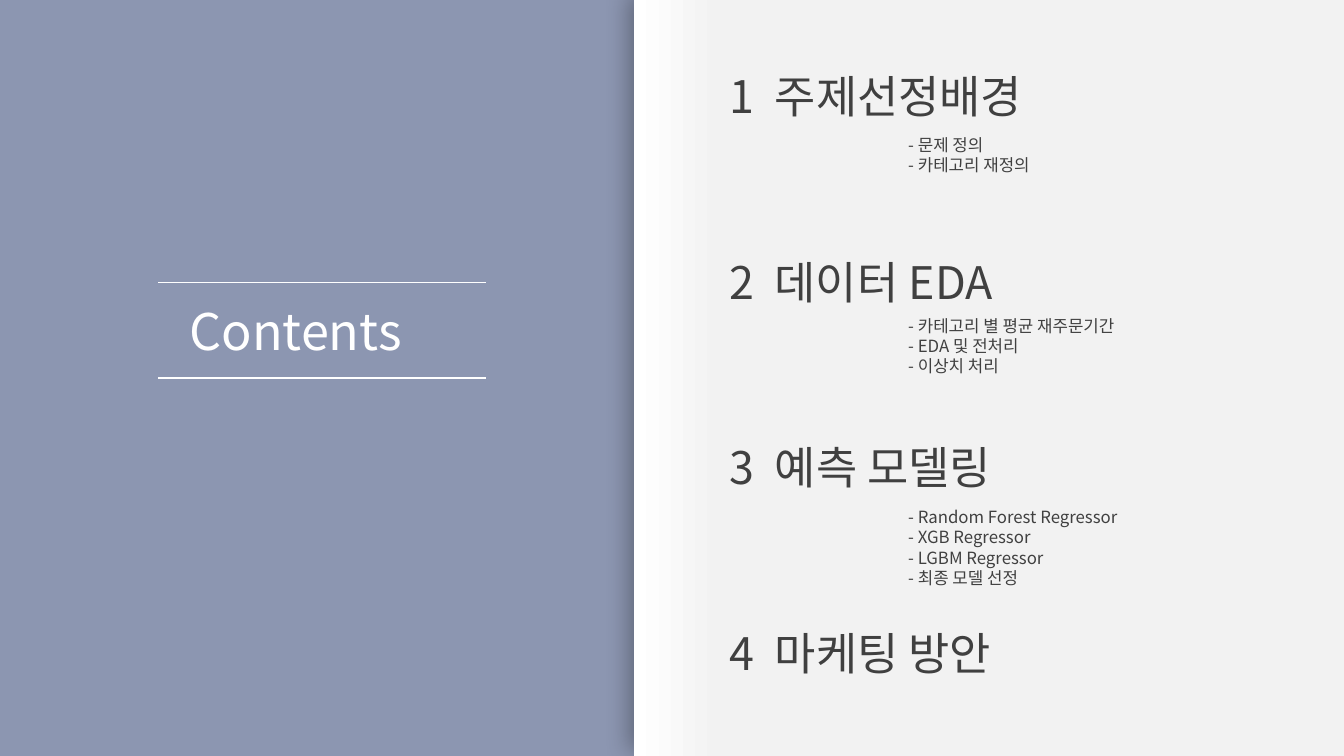
from lxml.etree import SubElement
from pptx import Presentation
from pptx.dml.color import RGBColor
from pptx.enum.shapes import MSO_CONNECTOR as Connector, MSO_SHAPE as Shape
from pptx.enum.text import MSO_AUTO_SIZE as AutoSize, PP_ALIGN as Align
from pptx.oxml.ns import qn
from pptx.util import Inches, Pt

COLORS = {
    "background": "8C96B1",
    "white": "FFFFFF",
    "panel": "F2F2F2",
    "ink": "404040",
    "shadow": "000000",
}
FONT = "Noto Sans CJK KR"

CHAPTERS = [
    ("1  주제선정배경", 33.16, 17.2, ["- 문제 정의", "- 카테고리 재정의"]),
    ("2  데이터 EDA", 26.48, 41.07,
     ["- 카테고리 별 평균 재주문기간", "- EDA 및 전처리", "- 이상치 처리"]),
    ("3  예측 모델링", 32.48, 66.4,
     ["- Random Forest Regressor", "- XGB Regressor", "- LGBM Regressor",
      "- 최종 모델 선정"]),
    ("4  마케팅 방안", 32.48, None, []),
]


class ContentsSlide:
    def __init__(self, deck):
        self.deck = deck
        self.slide = deck.slides.add_slide(deck.slide_layouts[6])
        backdrop = self.slide.background.fill
        backdrop.solid()
        backdrop.fore_color.rgb = self.color("background")

    def color(self, name):
        return RGBColor.from_string(COLORS[name])

    def x(self, percent):
        return round(self.deck.slide_width * percent / 100)

    def y(self, percent):
        return round(self.deck.slide_height * percent / 100)

    def panel(self, left, top, width, height):
        panel = self.slide.shapes.add_shape(
            Shape.RECTANGLE, self.x(left), self.y(top), self.x(width), self.y(height))
        panel.line.fill.background()
        panel.fill.gradient()
        panel.fill.gradient_angle = 0
        fade = [("white", 0), ("panel", 0.12)]
        for stop, (name, position) in zip(panel.fill.gradient_stops, fade):
            stop.color.rgb = self.color(name)
            stop.position = position
        panel.shadow.inherit = False
        effects = panel.element.spPr.find(qn("a:effectLst"))
        shadow = SubElement(
            effects, qn("a:outerShdw"), blurRad=str(Pt(17)), dist=str(Pt(5)),
            dir=str(225 * 60000), algn="br", rotWithShape="0")
        tint = SubElement(shadow, qn("a:srgbClr"), val=COLORS["shadow"])
        SubElement(tint, qn("a:alpha"), val="31000")

    def rule(self, left, right, top):
        rule = self.slide.shapes.add_connector(
            Connector.STRAIGHT, self.x(left), self.y(top), self.x(right), self.y(top))
        rule.line.color.rgb = self.color("white")
        rule.line.width = Pt(1)
        SubElement(rule.element.spPr, qn("a:effectLst"))

    def text(self, lines, left, top, width, height, size, color="ink", align=Align.LEFT):
        box = self.slide.shapes.add_textbox(
            self.x(left), self.y(top), self.x(width), self.y(height))
        frame = box.text_frame
        frame.word_wrap = True
        frame.auto_size = AutoSize.SHAPE_TO_FIT_TEXT
        frame.text = "\n".join(lines)
        for paragraph in frame.paragraphs:
            paragraph.alignment = align
            for run in paragraph.runs:
                run.font.size = Pt(size)
                run.font.name = FONT
                run.font.color.rgb = self.color(color)
                SubElement(run.font._element, qn("a:ea"), typeface=FONT)


def main():
    deck = Presentation()
    deck.slide_width, deck.slide_height = Inches(13.33), Inches(7.5)
    contents = ContentsSlide(deck)
    contents.panel(47.19, 0, 52.81, 100)
    for row, (heading, width, topics_top, topics) in enumerate(CHAPTERS):
        contents.text([heading], 53.56, 8.4 + 24.58 * row, width, 8.53, 32)
        if topics:
            contents.text(topics, 66.84, topics_top, 21.91, 1.33 + 2.7 * len(topics), 12)
    for top in (37.33, 50):
        contents.rule(11.78, 36.16, top)
    contents.text(["Contents"], 13.35, 39.07, 21.76, 9.47, 36, "white", Align.JUSTIFY)
    deck.save("out.pptx")


if __name__ == "__main__":
    main()
